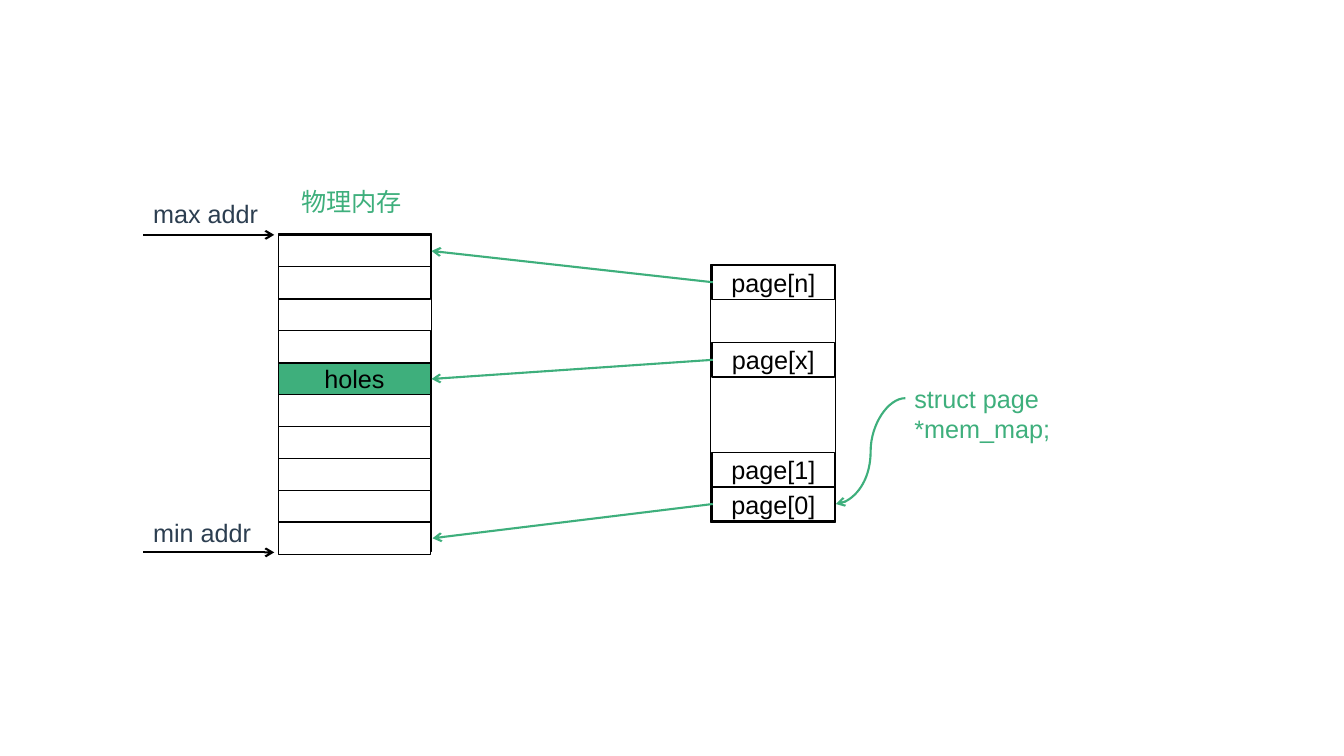
"""Draw how the mem_map page array maps onto physical memory."""
from dataclasses import dataclass

from lxml.etree import SubElement
from pptx import Presentation
from pptx.dml.color import RGBColor
from pptx.enum.shapes import MSO_CONNECTOR, MSO_SHAPE
from pptx.enum.text import MSO_ANCHOR, MSO_AUTO_SIZE, PP_ALIGN
from pptx.oxml.ns import qn
from pptx.slide import Slide
from pptx.text.text import TextFrame
from pptx.util import Inches, Pt

BLACK = RGBColor(0x00, 0x00, 0x00)
WHITE = RGBColor(0xFF, 0xFF, 0xFF)
GREEN = RGBColor(0x3E, 0xAF, 0x7C)
NAVY = RGBColor(0x2C, 0x3E, 0x50)
FONT = "Arial"

ROW_LEFT, ROW_TOP, ROW_WIDTH, ROW_HEIGHT = 2.76, 2.33, 1.51, 0.32
ROW_STEP = (5.18 - ROW_TOP) / 9
HOLE_ROW = 4
FILLED_ROWS = (0, 1, 3, 5, 6, 7, 8, 9)


@dataclass(frozen=True)
class Box:
    left: float
    top: float
    width: float
    height: float
    text: str = ""
    fill: RGBColor = WHITE


@dataclass(frozen=True)
class Label:
    left: float
    top: float
    width: float
    text: str
    color: RGBColor
    wrap: bool = False


@dataclass(frozen=True)
class Arrow:
    start: tuple[float, float]
    end: tuple[float, float]
    color: RGBColor = GREEN
    kind: MSO_CONNECTOR = MSO_CONNECTOR.STRAIGHT


def memory_row(index: int, text: str = "", fill: RGBColor = WHITE) -> Box:
    top = ROW_TOP + index * ROW_STEP
    return Box(ROW_LEFT, top, ROW_WIDTH, ROW_HEIGHT, text, fill)


def page_box(top: float, text: str) -> Box:
    return Box(7.06, top, 1.22, 0.34, text)


BOXES = [
    Box(2.76, 2.32, 1.52, 3.15),
    memory_row(HOLE_ROW, "holes", GREEN),
    *(memory_row(i) for i in FILLED_ROWS),
    Box(7.05, 2.63, 1.24, 2.55),
    page_box(2.63, "page[n]"),
    page_box(3.40, "page[x]"),
    page_box(4.49, "page[1]"),
    page_box(4.83, "page[0]"),
]

LABELS = [
    Label(2.89, 1.80, 1.26, "物理内存", GREEN, wrap=True),
    Label(1.42, 1.92, 1.24, "max addr", NAVY),
    Label(1.42, 5.08, 1.57, "min addr", NAVY, wrap=True),
    Label(8.97, 3.75, 2.85, "struct page *mem_map;", GREEN),
]

ARROWS = [
    Arrow((1.42, 2.33), (2.72, 2.33), BLACK),
    Arrow((1.42, 5.48), (2.72, 5.48), BLACK),
    Arrow((8.98, 3.95), (8.29, 5.00), kind=MSO_CONNECTOR.CURVE),
    Arrow((7.07, 2.80), (4.28, 2.49)),
    Arrow((7.07, 3.57), (4.28, 3.76)),
    Arrow((7.07, 5.00), (4.29, 5.34)),
]


def write(tf: TextFrame, text: str, color: RGBColor, align: PP_ALIGN) -> None:
    tf.text = text
    p = tf.paragraphs[0]
    p.alignment = align
    for r in p.runs:
        r.font.name = FONT
        r.font.size = Pt(18)
        r.font.color.rgb = color


def draw_box(s: Slide, box: Box) -> None:
    sp = s.shapes.add_shape(
        MSO_SHAPE.RECTANGLE,
        Inches(box.left), Inches(box.top), Inches(box.width), Inches(box.height),
    )
    sp.shadow.inherit = False
    sp.fill.solid()
    sp.fill.fore_color.rgb = box.fill
    sp.line.color.rgb = BLACK
    sp.line.width = Pt(1)
    if box.text:
        sp.text_frame.vertical_anchor = MSO_ANCHOR.MIDDLE
        write(sp.text_frame, box.text, BLACK, PP_ALIGN.CENTER)


def draw_label(s: Slide, label: Label) -> None:
    sp = s.shapes.add_textbox(
        Inches(label.left), Inches(label.top), Inches(label.width), Inches(0.4)
    )
    tf = sp.text_frame
    tf.word_wrap = label.wrap
    tf.auto_size = MSO_AUTO_SIZE.SHAPE_TO_FIT_TEXT
    write(tf, label.text, label.color, PP_ALIGN.LEFT)


def draw_arrow(s: Slide, arrow: Arrow) -> None:
    ends = (Inches(v) for v in (*arrow.start, *arrow.end))
    sp = s.shapes.add_connector(arrow.kind, *ends)
    sp.line.color.rgb = arrow.color
    sp.line.width = Pt(1.5)
    SubElement(sp.line._get_or_add_ln(), qn("a:tailEnd"), type="arrow")
    SubElement(sp._element.spPr, qn("a:effectLst"))


def main() -> None:
    prs = Presentation()
    prs.slide_width = Inches(13.33)
    prs.slide_height = Inches(7.5)
    s = prs.slides.add_slide(prs.slide_layouts[6])
    for box in BOXES:
        draw_box(s, box)
    for label in LABELS:
        draw_label(s, label)
    for arrow in ARROWS:
        draw_arrow(s, arrow)
    prs.save("out.pptx")


if __name__ == "__main__":
    main()
